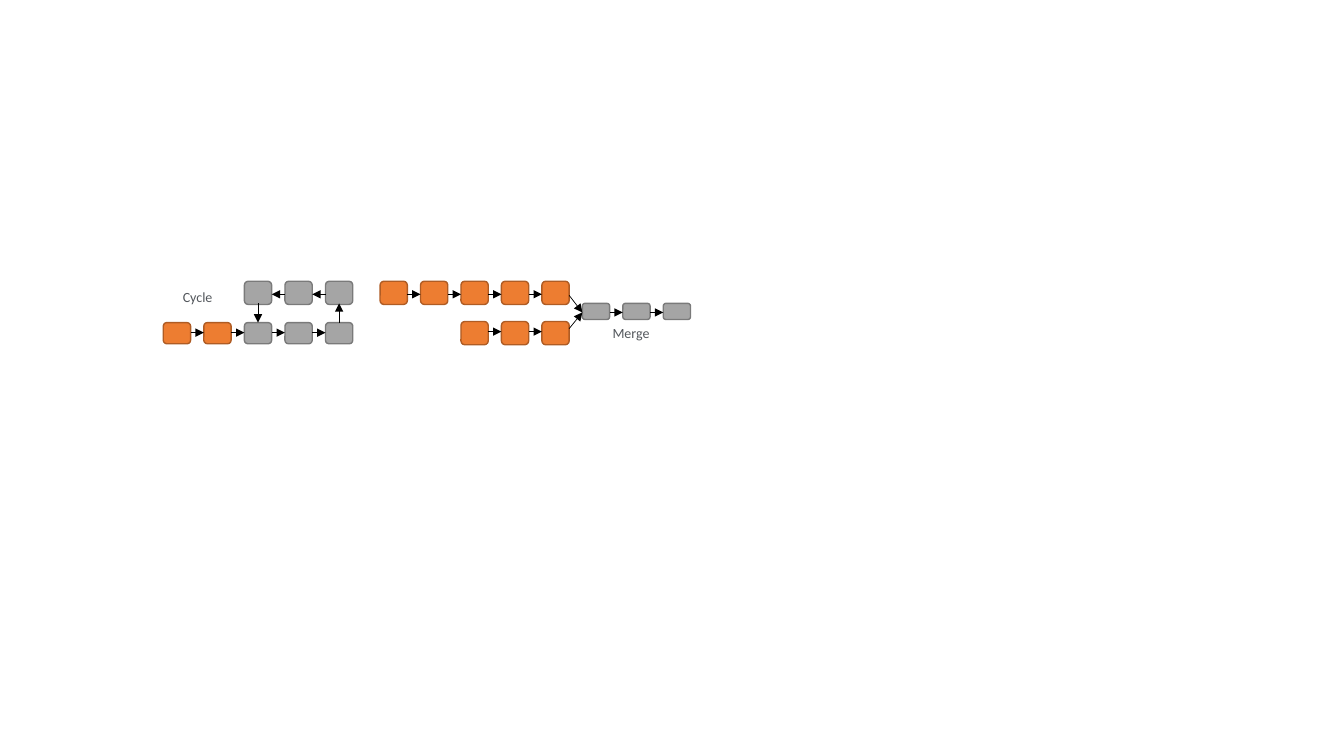
import pptx
import pptx.util
import pptx.dml.color
import pptx.enum.shapes
import pptx.enum.text
import pptx.oxml.ns
import lxml.etree

SHAPE = pptx.enum.shapes.MSO_SHAPE
COLORS = {"orange": "ED7D31", "rust": "AF5C24", "gray": "A5A5A5", "slate": "7A7A7A",
          "black": "000000", "white": "FFFFFF", "dark": "53575C", "pale": "C5C7CA"}
EDGES = {"orange": "rust", "gray": "slate", "white": "white"}
# All lengths are percent of the slide's width or height
NODE = 2.03

deck = pptx.Presentation()
deck.slide_width = pptx.util.Inches(13.33)
deck.slide_height = pptx.util.Inches(7.5)
slide = deck.slides.add_slide(deck.slide_layouts[6])


def across(share):
    return round(deck.slide_width * share / 100)


def down(share):
    return round(deck.slide_height * share / 100)


def rgb(name):
    return pptx.dml.color.RGBColor.from_string(COLORS[name])


def block(kind, left, top, width, height, color):
    shape = slide.shapes.add_shape(kind, across(left), down(top), across(width), down(height))
    shape.shadow.inherit = False
    shape.fill.solid()
    shape.fill.fore_color.rgb = rgb(color)
    shape.line.color.rgb = rgb(EDGES[color])
    shape.line.width = pptx.util.Pt(1)
    return shape


def arrow(x1, y1, x2, y2):
    line = slide.shapes.add_connector(pptx.enum.shapes.MSO_CONNECTOR.STRAIGHT,
                                      across(x1), down(y1), across(x2), down(y2))
    line.line.color.rgb = rgb("black")
    line.line.width = pptx.util.Pt(0.5)
    qn = pptx.oxml.ns.qn
    props = line._element.spPr
    lxml.etree.SubElement(props.find(qn("a:ln")), qn("a:tailEnd"), type="triangle")
    lxml.etree.SubElement(props, qn("a:effectLst"))


def label(text, left, top, width, height):
    frame = block(SHAPE.RECTANGLE, left, top, width, height, "white").text_frame
    frame.text = text
    frame.word_wrap = True
    frame.vertical_anchor = pptx.enum.text.MSO_ANCHOR.MIDDLE
    para = frame.paragraphs[0]
    para.alignment = pptx.enum.text.PP_ALIGN.CENTER
    font = para.runs[0].font
    font.name = "Calibri"
    font.size = pptx.util.Pt(10)
    font.fill.gradient()
    font.fill.gradient_angle = 270
    stops = (("dark", 0.21), ("pale", 0.88))
    for stop, (color, place) in zip(font.fill.gradient_stops, stops):
        stop.color.rgb = rgb(color)
        stop.position = place


def chain(spots, top, height, wire, colors):
    """Nodes at the given left edges, each joined to the next at height wire."""
    for left, color in zip(spots, colors):
        block(SHAPE.ROUNDED_RECTANGLE, left, top, NODE, height, color)
    for here, there in zip(spots, spots[1:]):
        if here < there:
            arrow(here + NODE, wire, there, wire)
        else:
            arrow(here, wire, there + NODE, wire)


def columns(left, width, count):
    step = (width - NODE) / (count - 1)
    return [left + step * i for i in range(count)]


def cycle(left, top, width):
    cols = columns(left, width, 5)
    # Lower row runs right, upper row runs back
    chain(cols, top + 5.47, 2.8, top + 6.8, ["orange"] * 2 + ["gray"] * 3)
    chain(cols[:1:-1], top, 3.07, top + 1.73, ["gray"] * 3)
    # Links that close the loop
    arrow(cols[4] + NODE / 2, top + 5.47, cols[4] + NODE / 2, top + 2.93)
    arrow(cols[2] + NODE / 2, top + 2.93, cols[2] + NODE / 2, top + 5.47)
    label("Cycle", left, top + 0.27, 5.1, 3.73)


def merge(left, top, width):
    cols = columns(left, width, 8)
    # Two branches and their shared tail
    chain(cols[:5], top, 3.07, top + 1.73, ["orange"] * 5)
    chain(cols[2:5], top + 5.33, 3.07, top + 6.67, ["orange"] * 3)
    chain(cols[5:], top + 2.93, 2.13, top + 4.13, ["gray"] * 3)
    # Links into the tail
    for start in (1.87, 6.27):
        arrow(cols[4] + NODE, top + start, cols[5], top + 4.13)
    label("Merge", left + 16.12, top + 5.33, 5.1, 2.93)


cycle(12.15, 37.2, 14.1)
merge(28.28, 37.2, 23.1)
deck.save("out.pptx")
